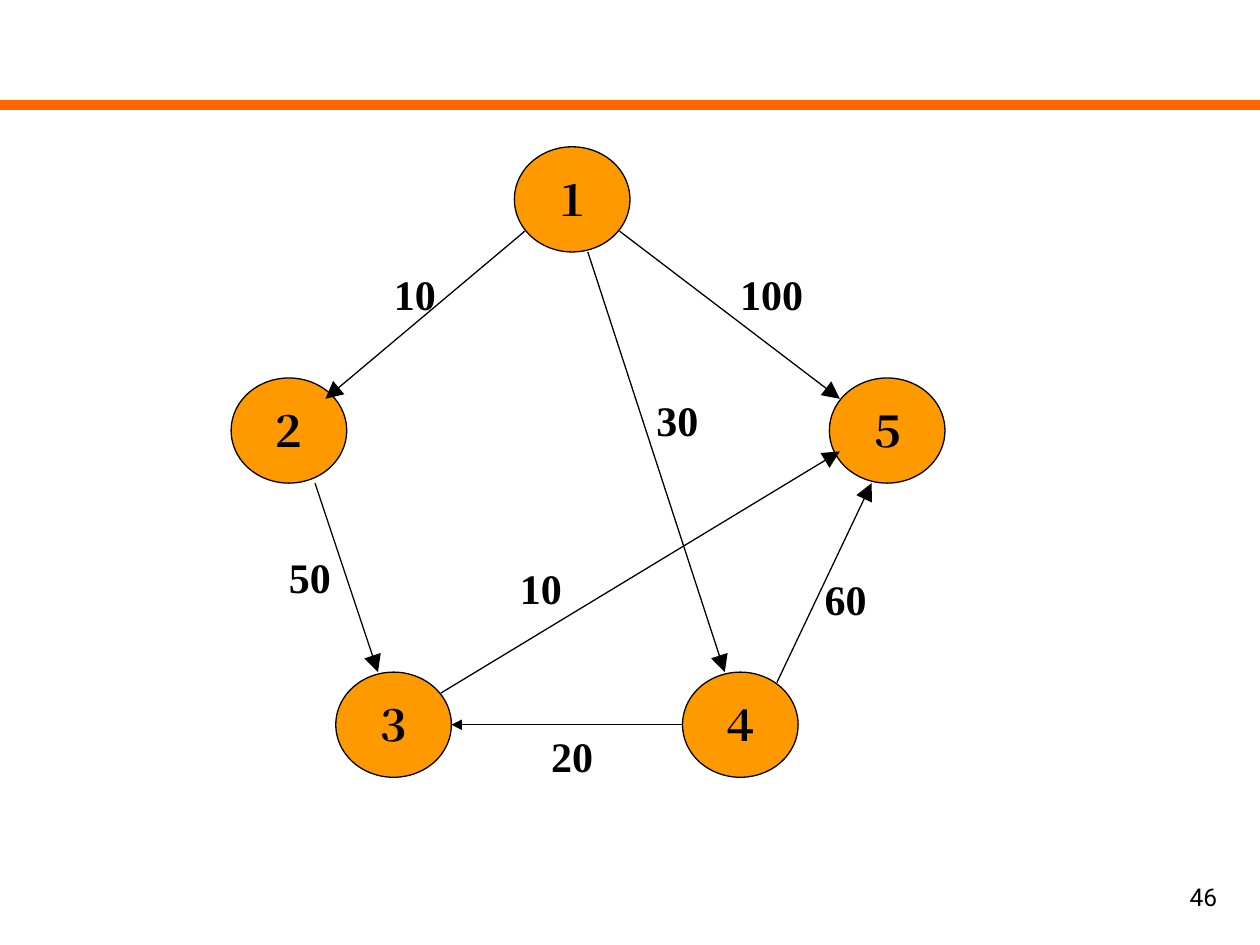
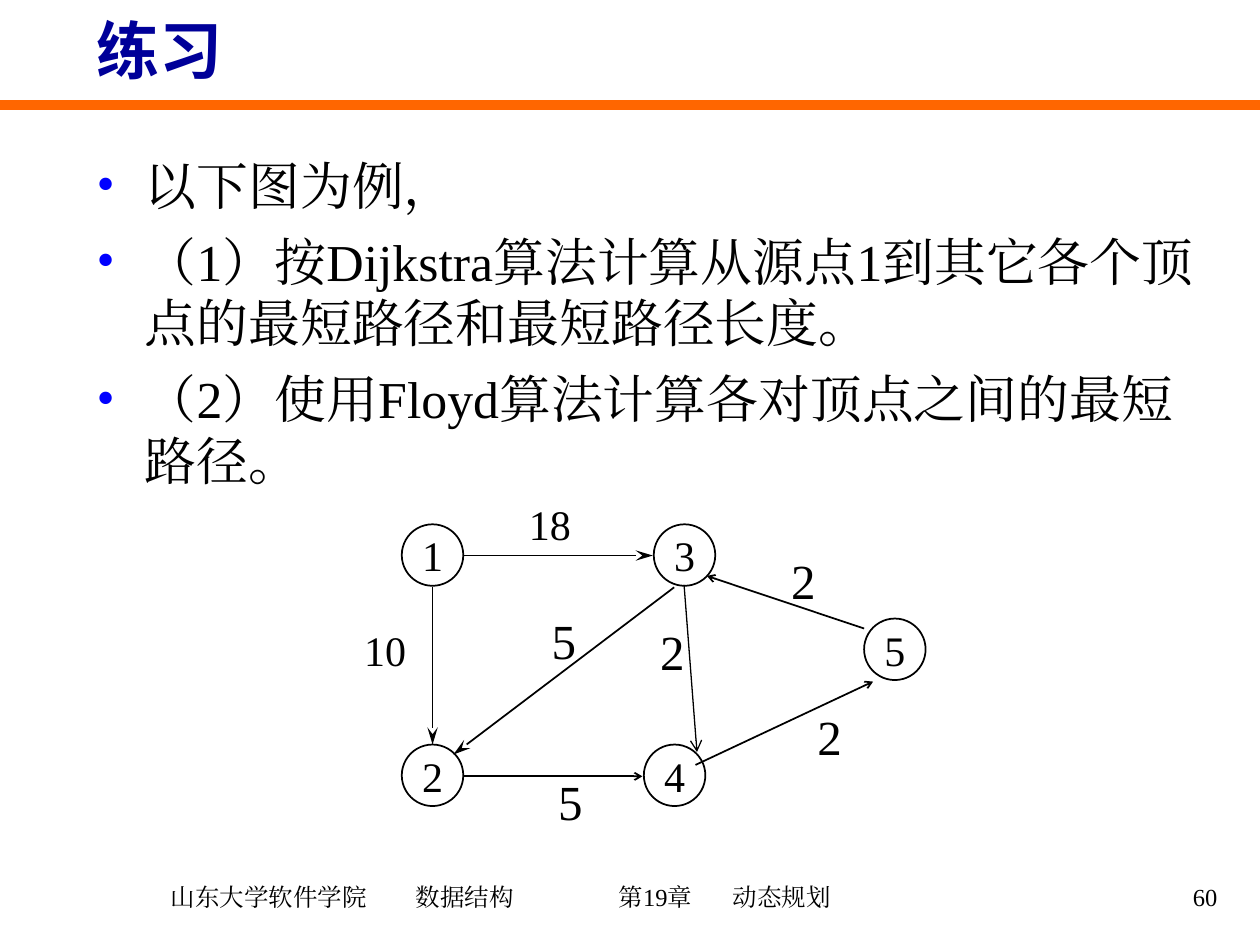
"""Build two slides showing weighted directed graphs for shortest paths."""
from dataclasses import dataclass
from typing import NamedTuple

from lxml.etree import SubElement
from pptx import Presentation
from pptx.dml.color import RGBColor
from pptx.enum.shapes import MSO_CONNECTOR, MSO_SHAPE
from pptx.enum.text import MSO_ANCHOR, PP_ALIGN
from pptx.oxml.ns import qn
from pptx.util import Cm, Pt

BLACK, ORANGE, AMBER = "000000", "FF6600", "FF9900"
NAVY, BLUE = "000099", "0000FF"
SERIF, SANS, HEITI = "Times New Roman", "Roboto", "Noto Sans CJK SC"


class Node(NamedTuple):
    text: str
    left: float
    top: float


class Head(NamedTuple):
    kind: str
    width: str
    length: str


class Edge(NamedTuple):
    start: tuple[float, float]
    end: tuple[float, float]
    head: Head
    weight: float


class Label(NamedTuple):
    text: str
    left: float
    top: float
    width: float
    size: float


@dataclass(frozen=True)
class Graph:
    nodes: list[Node]
    edges: list[Edge]
    labels: list[Label]
    node_size: tuple[float, float]
    node_fill: str | None
    outline: float
    bold: bool
    label_align: PP_ALIGN


LARGE_TRIANGLE = Head("triangle", "lg", "lg")
TRIANGLE = Head("triangle", "med", "med")
STEALTH = Head("stealth", "med", "lg")
SMALL_ARROW = Head("arrow", "sm", "sm")
ARROW = Head("arrow", "med", "med")

PENTAGON = Graph(
    nodes=[
        Node("１", 10.37, 2.96),
        Node("２", 4.66, 7.62),
        Node("５", 16.72, 7.62),
        Node("３", 6.77, 13.55),
        Node("４", 13.76, 13.55),
    ],
    edges=[
        Edge((10.58, 4.66), (6.56, 8.04), LARGE_TRIANGLE, 0.75),
        Edge((6.35, 9.74), (7.62, 13.55), LARGE_TRIANGLE, 0.75),
        Edge((12.49, 4.66), (16.93, 8.04), LARGE_TRIANGLE, 0.75),
        Edge((11.85, 5.08), (14.61, 13.55), LARGE_TRIANGLE, 0.75),
        Edge((8.89, 13.97), (16.93, 9.1), LARGE_TRIANGLE, 0.75),
        Edge((15.66, 13.76), (17.57, 9.74), LARGE_TRIANGLE, 0.75),
        Edge((13.76, 14.61), (9.1, 14.61), TRIANGLE, 0.75),
    ],
    labels=[
        Label("50", 5.08, 11, 2.33, 24),
        Label("10", 9.74, 11.22, 2.33, 24),
        Label("30", 12.49, 7.83, 2.33, 24),
        Label("10", 7.2, 5.29, 2.33, 24),
        Label("20", 10.37, 14.61, 2.33, 24),
        Label("60", 15.88, 11.43, 2.33, 24),
        Label("100", 14.39, 5.29, 2.33, 24),
    ],
    node_size=(2.33, 2.12),
    node_fill=AMBER,
    outline=0.75,
    bold=True,
    label_align=PP_ALIGN.CENTER,
)

EXERCISE = Graph(
    nodes=[
        Node("1", 8.1, 10.57),
        Node("2", 8.1, 15.01),
        Node("3", 13.18, 10.57),
        Node("4", 12.98, 15.01),
        Node("5", 17.42, 12.47),
    ],
    edges=[
        Edge((8.72, 11.84), (8.72, 15.01), STEALTH, 1),
        Edge((9.35, 15.65), (12.95, 15.65), SMALL_ARROW, 1),
        Edge((9.35, 11.2), (13.16, 11.2), STEALTH, 1),
        Edge((13.59, 11.84), (9.14, 15.21), STEALTH, 1),
        Edge((17.42, 12.67), (14.25, 11.61), SMALL_ARROW, 1),
        Edge((14.02, 15.42), (17.6, 13.74), SMALL_ARROW, 1),
        Edge((13.79, 11.79), (14.05, 15.16), ARROW, 0.75),
    ],
    labels=[
        Label("18", 10.41, 9.93, 2.44, 24),
        Label("10", 7.09, 12.47, 1.83, 24),
        Label("5", 11, 15.42, 1.07, 28),
        Label("5", 10.87, 12.19, 1.07, 28),
        Label("2", 15.7, 10.97, 1.07, 28),
        Label("2", 16.23, 14.12, 1.07, 28),
        Label("2", 13.06, 12.4, 1.07, 28),
    ],
    node_size=(1.24, 1.24),
    node_fill=None,
    outline=1,
    bold=False,
    label_align=PP_ALIGN.LEFT,
)

TASKS = [
    "以下图为例，",
    "（1）按Dijkstra算法计算从源点1到其它各个顶点的最短路径和最短路径长度。",
    "（2）使用Floyd算法计算各对顶点之间的最短路径。",
]
FOOTER = "山东大学软件学院\t数据结构\t第19章\t动态规划"
FOOTER_STOPS = [4.94, 9.03, 11.33]


def rgb(value: str) -> RGBColor:
    """Turn a hex string into a colour."""
    return RGBColor.from_string(value)


def format_runs(paragraph, size: float, color: str = BLACK, font: str = SERIF, bold: bool = False) -> None:
    """Format every run of a paragraph, for Latin and East Asian text."""
    for run in paragraph.runs:
        run.font.size = Pt(size)
        run.font.bold = bold
        run.font.color.rgb = rgb(color)
        run.font.name = font
        SubElement(run.font._element, qn("a:ea"), typeface=font)


def add_text(slide, text: str, left: float, top: float, width: float, height: float,
             size: float, align: PP_ALIGN = PP_ALIGN.LEFT, anchor: MSO_ANCHOR = MSO_ANCHOR.TOP,
             font: str = SERIF, bold: bool = False):
    """Add a text box of one paragraph and return its frame."""
    frame = slide.shapes.add_textbox(Cm(left), Cm(top), Cm(width), Cm(height)).text_frame
    frame.word_wrap = True
    frame.vertical_anchor = anchor
    frame.text = text
    frame.paragraphs[0].alignment = align
    format_runs(frame.paragraphs[0], size, font=font, bold=bold)
    return frame


def add_line(slide, start: tuple[float, float], end: tuple[float, float], color: str, weight: float):
    """Add a straight connector without a shadow."""
    connector = slide.shapes.add_connector(
        MSO_CONNECTOR.STRAIGHT, *(Cm(value) for value in (*start, *end)))
    connector.line.color.rgb = rgb(color)
    connector.line.width = Pt(weight)
    SubElement(connector._element.spPr, qn("a:effectLst"))
    return connector


def add_edge(slide, edge: Edge) -> None:
    """Add an arrow between two nodes."""
    connector = add_line(slide, edge.start, edge.end, BLACK, edge.weight)
    SubElement(connector.line._get_or_add_ln(), qn("a:tailEnd"),
               type=edge.head.kind, w=edge.head.width, len=edge.head.length)


def add_node(slide, node: Node, graph: Graph) -> None:
    """Add a numbered ellipse."""
    width, height = graph.node_size
    ellipse = slide.shapes.add_shape(
        MSO_SHAPE.OVAL, Cm(node.left), Cm(node.top), Cm(width), Cm(height))
    ellipse.shadow.inherit = False
    if graph.node_fill:
        ellipse.fill.solid()
        ellipse.fill.fore_color.rgb = rgb(graph.node_fill)
    else:
        ellipse.fill.background()
    ellipse.line.color.rgb = rgb(BLACK)
    ellipse.line.width = Pt(graph.outline)
    frame = ellipse.text_frame
    frame.margin_left = frame.margin_right = frame.margin_top = frame.margin_bottom = 0
    frame.word_wrap = False
    frame.vertical_anchor = MSO_ANCHOR.MIDDLE
    frame.text = node.text
    frame.paragraphs[0].alignment = PP_ALIGN.CENTER
    format_runs(frame.paragraphs[0], 24, bold=graph.bold)


def draw_graph(slide, graph: Graph) -> None:
    """Draw nodes, edges and weights of a graph."""
    for node in graph.nodes:
        add_node(slide, node, graph)
    for edge in graph.edges:
        add_edge(slide, edge)
    for label in graph.labels:
        height = 1.27 if label.size == 24 else 1.45
        add_text(slide, label.text, label.left, label.top, label.width, height,
                 label.size, graph.label_align, bold=graph.bold)


def add_frame(slide, number: str, font: str) -> None:
    """Add the rule and the page number that every slide carries."""
    add_line(slide, (0, 2.12), (25.4, 2.12), ORANGE, 6)
    add_text(slide, number, 19.51, 17.45, 5.28, 1.27, 14,
             PP_ALIGN.RIGHT, MSO_ANCHOR.MIDDLE, font)


def set_title(slide, text: str) -> None:
    """Place and format the title placeholder."""
    title = slide.shapes.title
    title.left, title.top, title.width, title.height = Cm(1.7), Cm(-0.28), Cm(21.59), Cm(2.54)
    title.text_frame.text = text
    title.text_frame.vertical_anchor = MSO_ANCHOR.MIDDLE
    title.text_frame.paragraphs[0].alignment = PP_ALIGN.LEFT
    format_runs(title.text_frame.paragraphs[0], 36, NAVY, HEITI, True)


def add_tasks(slide) -> None:
    """Add the bulleted exercise text."""
    frame = slide.shapes.add_textbox(Cm(1.7), Cm(2.97), Cm(22.86), Cm(7.39)).text_frame
    frame.word_wrap = True
    for index, task in enumerate(TASKS):
        paragraph = frame.add_paragraph() if index else frame.paragraphs[0]
        paragraph.text = task
        paragraph.line_spacing = Pt(35.4)
        if index:
            paragraph.space_before = Pt(8)
        properties = paragraph._p.get_or_add_pPr()
        properties.set("marL", str(Cm(0.97)))
        properties.set("indent", str(Cm(-0.97)))
        SubElement(SubElement(properties, qn("a:buClr")), qn("a:srgbClr"), val=BLUE)
        SubElement(properties, qn("a:buFont"), typeface=SERIF)
        SubElement(properties, qn("a:buChar"), char="•")
        format_runs(paragraph, 29.6)


def add_footer(slide) -> None:
    """Add the footer with its parts set at tab stops."""
    frame = add_text(slide, FOOTER, 1.9, 17.42, 16.41, 1.3, 14, anchor=MSO_ANCHOR.MIDDLE)
    frame.margin_left = Cm(1.54)
    stops = SubElement(frame.paragraphs[0]._p.get_or_add_pPr(), qn("a:tabLst"))
    for stop in FOOTER_STOPS:
        SubElement(stops, qn("a:tab"), pos=str(Cm(stop)), algn="l")


def main() -> None:
    """Build and save the presentation."""
    deck = Presentation()
    deck.slide_width, deck.slide_height = Cm(25.4), Cm(19.05)
    title_only, blank = deck.slide_layouts[5], deck.slide_layouts[6]

    example = deck.slides.add_slide(blank)
    add_frame(example, "46", SANS)
    draw_graph(example, PENTAGON)

    exercise = deck.slides.add_slide(title_only)
    add_frame(exercise, "60", SERIF)
    set_title(exercise, "练习")
    add_tasks(exercise)
    add_footer(exercise)
    draw_graph(exercise, EXERCISE)

    deck.save("out.pptx")


if __name__ == "__main__":
    main()
